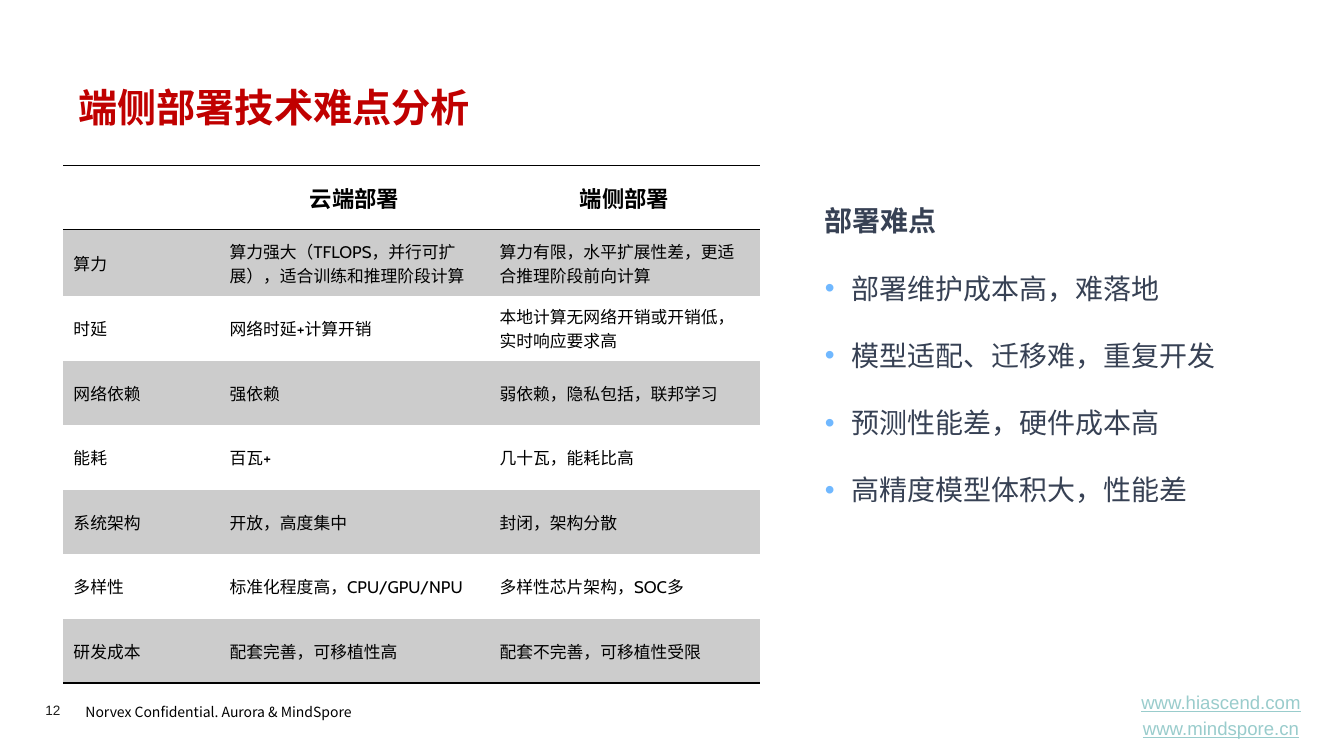
from lxml.etree import SubElement
from pptx import Presentation
from pptx.dml.color import RGBColor
from pptx.enum.text import MSO_ANCHOR, PP_ALIGN
from pptx.oxml import parse_xml
from pptx.oxml.ns import nsdecls, qn
from pptx.util import Inches, Pt

WIDTH, HEIGHT = Inches(13.34), Inches(7.5)
CJK = "Noto Sans CJK SC"
BLACK, RED, SLATE, TEAL = "000000", "C00000", "374154", "99CCCC"
BULLET_BLUE, BAND_GREY = "70B8FF", "CCCCCC"
NO_STYLE = "{2D5ABB26-0587-4C30-8999-92F81FD0307C}"

COLUMN_SHARES = [11.62, 20.09, 20.09]
ROW_SHARES = [8.53, 8.8] + [8.53] * 6
COMPARISON = [
    ["", "云端部署", "端侧部署"],
    ["算力", "算力强大（TFLOPS，并行可扩展），适合训练和推理阶段计算",
     "算力有限，水平扩展性差，更适合推理阶段前向计算"],
    ["时延", "网络时延+计算开销", "本地计算无网络开销或开销低，实时响应要求高"],
    ["网络依赖", "强依赖", "弱依赖，隐私包括，联邦学习"],
    ["能耗", "百瓦+", "几十瓦，能耗比高"],
    ["系统架构", "开放，高度集中", "封闭，架构分散"],
    ["多样性", "标准化程度高，CPU/GPU/NPU", "多样性芯片架构，SOC多"],
    ["研发成本", "配套完善，可移植性高", "配套不完善，可移植性受限"],
]
DIFFICULTIES = [
    "部署难点",
    "部署维护成本高，难落地",
    "模型适配、迁移难，重复开发",
    "预测性能差，硬件成本高",
    "高精度模型体积大，性能差",
]


def rgb(value):
    return RGBColor.from_string(value)


def across(share):
    """Percentage of the slide width."""
    return int(WIDTH * share / 100)


def down(share):
    """Percentage of the slide height."""
    return int(HEIGHT * share / 100)


def place(x, y, w, h):
    return across(x), down(y), across(w), down(h)


def style(p, size, color, name=CJK, bold=False, underline=False):
    for r in p.runs:
        font = r.font
        font.size, font.name, font.bold = Pt(size), name, bold
        font.underline = underline
        font.color.rgb = rgb(color)
        SubElement(r._r.get_or_add_rPr(), qn("a:ea"), typeface=CJK)


def add_text(s, box, lines, size, color, anchor=MSO_ANCHOR.TOP, align=PP_ALIGN.LEFT,
             inset=None, **font):
    tf = s.shapes.add_textbox(*place(*box)).text_frame
    tf.word_wrap = True
    tf.vertical_anchor = anchor
    if inset is not None:
        tf.margin_left = tf.margin_right = tf.margin_top = tf.margin_bottom = inset
    tf.text = "\n".join(lines)
    for p in tf.paragraphs:
        p.alignment = align
        style(p, size, color, **font)
    return tf


def add_bullet(p):
    pPr = p._p.get_or_add_pPr()
    indent = Inches(0.26)
    pPr.set("marL", str(indent))
    pPr.set("indent", str(-indent))
    color = SubElement(pPr, qn("a:buClr"))
    SubElement(color, qn("a:srgbClr"), val=BULLET_BLUE)
    SubElement(pPr, qn("a:buFont"), typeface="Arial")
    SubElement(pPr, qn("a:buChar"), char="•")


def add_border(cell, side, position):
    line = parse_xml(
        f'<a:{side} {nsdecls("a")} w="{Pt(1)}"><a:solidFill>'
        f'<a:srgbClr val="{BLACK}"/></a:solidFill></a:{side}>')
    cell._tc.get_or_add_tcPr().insert(position, line)


def fill_cell(cell, text, row):
    header = row == 0
    cell.text = text
    cell.vertical_anchor = MSO_ANCHOR.MIDDLE
    p = cell.text_frame.paragraphs[0]
    p.alignment = PP_ALIGN.CENTER if header else PP_ALIGN.LEFT
    style(p, 16 if header else 12, BLACK, "Cabin", bold=header)
    if row % 2:
        cell.fill.solid()
        cell.fill.fore_color.rgb = rgb(BAND_GREY)
    else:
        cell.fill.background()
    if header:
        add_border(cell, "lnT", 0)
        add_border(cell, "lnB", 1)
    elif row == len(COMPARISON) - 1:
        add_border(cell, "lnB", 0)


def add_comparison(s):
    box = place(4.72, 21.87, sum(COLUMN_SHARES), sum(ROW_SHARES))
    table = s.shapes.add_table(len(ROW_SHARES), len(COLUMN_SHARES), *box).table
    table._tbl.tblPr.find(qn("a:tableStyleId")).text = NO_STYLE
    for column, share in zip(table.columns, COLUMN_SHARES):
        column.width = across(share)
    for i, (row, share) in enumerate(zip(table.rows, ROW_SHARES)):
        row.height = down(share)
        for cell, text in zip(row.cells, COMPARISON[i]):
            fill_cell(cell, text, i)


def add_difficulties(s):
    tf = add_text(s, (60.64, 21.87, 34.41, 66), DIFFICULTIES, 20, SLATE)
    for p in tf.paragraphs:
        p.line_spacing = 2.0
    heading, *points = tf.paragraphs
    heading.runs[0].font.bold = True
    for p in points:
        add_bullet(p)


def add_footer(s):
    notice = add_text(s, (5.62, 92, 23.46, 3.87),
                      ["Norvex Confidential. Aurora & MindSpore"], 10, BLACK)
    notice.paragraphs[0].line_spacing = 1.2
    add_text(s, (3.37, 92.8, 4.12, 2.13), ["12"], 9.7, "1D1D1B", inset=0, name="Arial")
    links = add_text(s, (82.76, 91.73, 16.19, 5.73),
                     ["www.hiascend.com", "www.mindspore.cn"], 13.3, TEAL,
                     MSO_ANCHOR.MIDDLE, PP_ALIGN.CENTER, name="Arial", underline=True)
    links.paragraphs[1].space_before = Pt(2.7)


def main():
    prs = Presentation()
    prs.slide_width, prs.slide_height = WIDTH, HEIGHT
    s = prs.slides.add_slide(prs.slide_layouts[6])
    add_footer(s)
    add_text(s, (5.1, 9.87, 89.88, 8.53), ["端侧部署技术难点分析"], 28, RED,
             MSO_ANCHOR.MIDDLE, bold=True)
    add_difficulties(s)
    add_comparison(s)
    prs.save("out.pptx")


if __name__ == "__main__":
    main()
